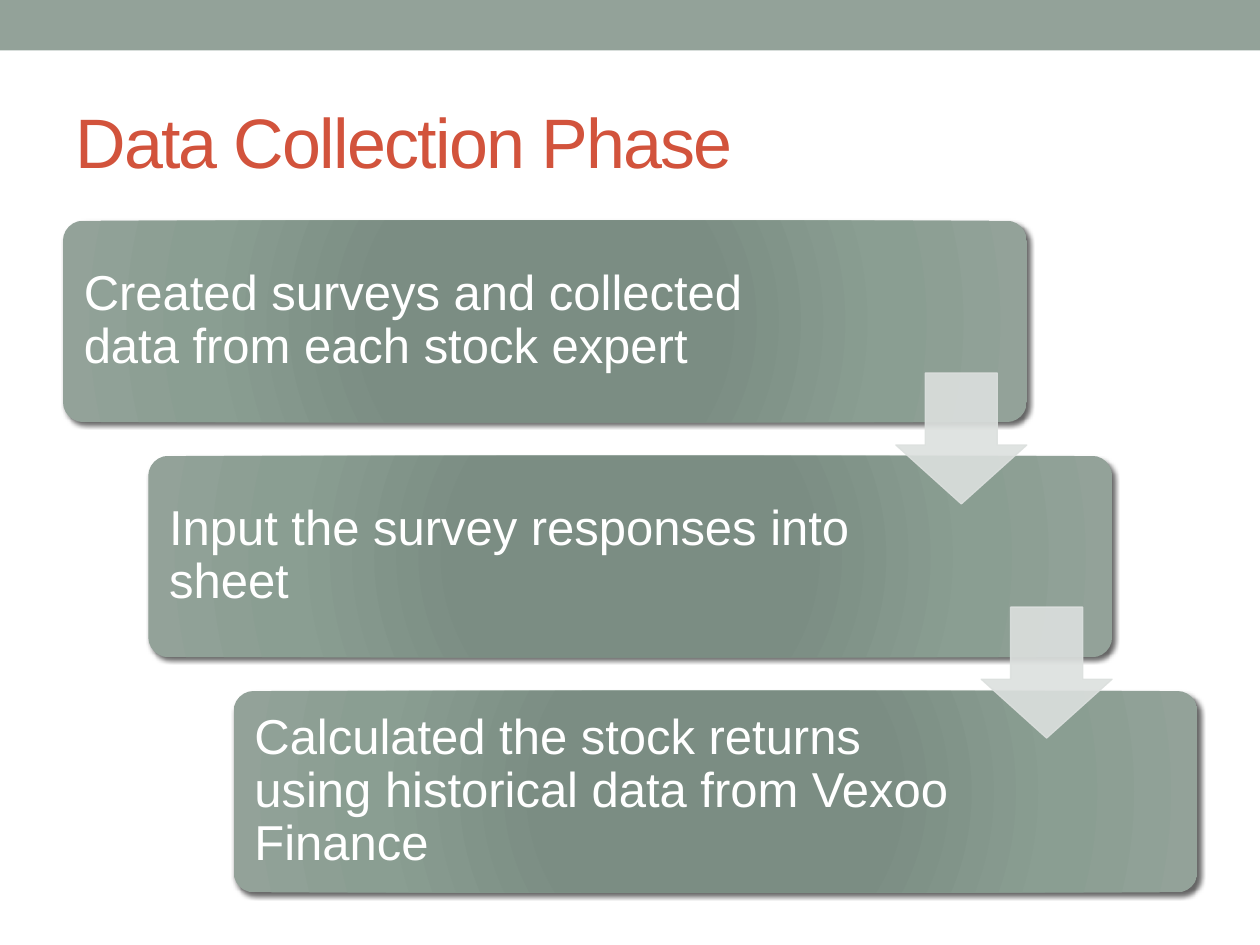
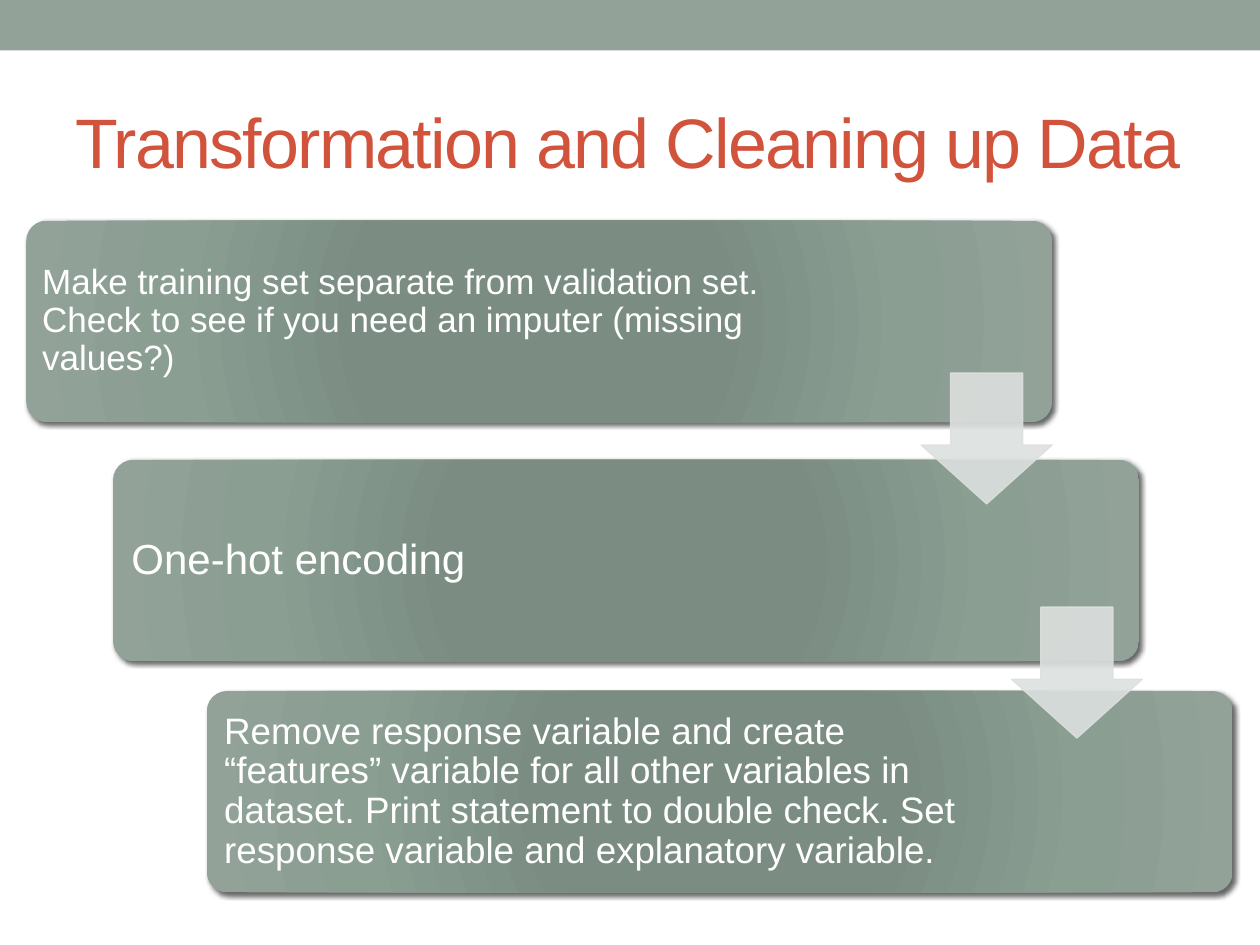
from lxml import etree
from pptx import Presentation
from pptx.dml.color import RGBColor
from pptx.enum.shapes import MSO_SHAPE
from pptx.enum.text import MSO_ANCHOR, PP_ALIGN
from pptx.oxml import parse_xml
from pptx.oxml.ns import nsdecls, qn
from pptx.util import Cm, Pt

RECT = MSO_SHAPE.RECTANGLE
ROUNDED = MSO_SHAPE.ROUNDED_RECTANGLE
DOWN_ARROW = MSO_SHAPE.DOWN_ARROW
MIDDLE = MSO_ANCHOR.MIDDLE
LEFT = PP_ALIGN.LEFT

FONT = "Arial"
COLORS = {
    "band": "93A299",
    "title": "D2533C",
    "step_text": "FFFFFF",
    "arrow": "DCE0DE",
    "shadow": "000000",
}
STEP_GRADIENT = [(0, "7B8E82"), (34, "7B8D83"), (70, "8A9E92"), (100, "93A299")]

SLIDE_W, SLIDE_H = 25.4, 19.05
STEP_TOP, STEP_RISE, STEP_H = 4.45, 4.74, 4.06
TEXT_INSET = 0.12
ARROW_TOP, ARROW_RISE, ARROW_SIZE = 7.52, 4.72, 2.64

PHASES = [
    {
        "title": "Data Collection Phase",
        "left": 1.27, "shift": 1.72, "width": 19.43,
        "text_widths": (15.04, 14.83, 14.83),
        "middle_nudge": (0, 0),
        "steps": [
            ("Created surveys and collected data from each stock expert", 28, 0.3),
            ("Input the survey responses into sheet", 28, 0.3),
            ("Calculated the stock returns using historical data from Vexoo Finance", 28, 0.3),
        ],
    },
    {
        "title": "Transformation and Cleaning up Data",
        "left": 0.53, "shift": 1.82, "width": 20.68,
        "text_widths": (16.28, 15.98, 15.98),
        "middle_nudge": (-0.07, 0.08),
        "steps": [
            ("Make training set separate from validation set. Check to see if you "
             "need an imputer (missing values?)", 20, 0.2),
            ("One-hot encoding", 24, 0.25),
            ("Remove response variable and create “features” variable for all other "
             "variables in dataset. Print statement to double check. Set response "
             "variable and explanatory variable.", 21, 0.23),
        ],
    },
]


def add_text(slide, text, left, top, width, height, *, size, color,
             inset=None, line_spacing=None, tracking=None):
    box = slide.shapes.add_textbox(Cm(left), Cm(top), Cm(width), Cm(height))
    frame = box.text_frame
    frame.word_wrap = True
    frame.vertical_anchor = MIDDLE
    if inset is not None:
        frame.margin_left = frame.margin_right = Cm(inset)
        frame.margin_top = frame.margin_bottom = Cm(inset)
    paragraph = frame.paragraphs[0]
    paragraph.alignment = LEFT
    paragraph.line_spacing = line_spacing
    run = paragraph.add_run()
    run.text = text
    run.font.name = FONT
    run.font.size = Pt(size)
    run.font.color.rgb = RGBColor.from_string(color)
    if tracking is not None:
        run.font.language_id = None
        run._r.get_or_add_rPr().set("spc", str(tracking * 100))


def add_plain_shape(slide, kind, left, top, width, height, color):
    shape = slide.shapes.add_shape(kind, Cm(left), Cm(top), Cm(width), Cm(height))
    shape.shadow.inherit = False
    shape.fill.solid()
    shape.fill.fore_color.rgb = RGBColor.from_string(color)
    shape.line.fill.background()
    return shape


def apply_radial_gradient(shape, stops):
    stop_xml = "".join(
        f'<a:gs pos="{pos * 1000}"><a:srgbClr val="{color}"/></a:gs>'
        for pos, color in stops)
    gradient = parse_xml(
        f'<a:gradFill {nsdecls("a")} rotWithShape="1"><a:gsLst>{stop_xml}</a:gsLst>'
        '<a:path path="circle"><a:fillToRect l="100000" t="100000" r="100000" '
        'b="100000"/></a:path></a:gradFill>')
    properties = shape._element.spPr
    properties.replace(properties.find(qn("a:solidFill")), gradient)


def apply_shadow(shape):
    effects = shape._element.spPr.find(qn("a:effectLst"))
    effects.append(parse_xml(
        f'<a:outerShdw {nsdecls("a")} blurRad="{Pt(3)}" dist="{Pt(2)}" '
        f'dir="2700000" rotWithShape="0"><a:srgbClr val="{COLORS["shadow"]}">'
        '<a:alpha val="60000"/></a:srgbClr></a:outerShdw>'))


def add_step(slide, text, size, inset, left, top, width, text_width):
    card = add_plain_shape(slide, ROUNDED, left, top, width, STEP_H, COLORS["band"])
    card.adjustments[0] = 0.1
    apply_radial_gradient(card, STEP_GRADIENT)
    apply_shadow(card)
    add_text(slide, text, left + TEXT_INSET, top + TEXT_INSET, text_width,
             STEP_H - 2 * TEXT_INSET, size=size, color=COLORS["step_text"],
             inset=inset, line_spacing=0.9)


def add_step_arrow(slide, left, top):
    arrow = add_plain_shape(slide, DOWN_ARROW, left, top, ARROW_SIZE, ARROW_SIZE,
                            COLORS["arrow"])
    arrow.adjustments[0] = 0.55
    arrow.adjustments[1] = 0.45
    arrow.line.color.rgb = RGBColor.from_string(COLORS["arrow"])
    arrow.line.width = Pt(0.75)
    for color in arrow._element.spPr.iter(qn("a:srgbClr")):
        etree.SubElement(color, qn("a:alpha")).set("val", "90000")


def add_phase_slide(prs, phase):
    slide = prs.slides.add_slide(prs.slide_layouts[6])
    add_plain_shape(slide, RECT, 0, 0, SLIDE_W, 1.02, COLORS["band"])
    add_text(slide, phase["title"], 1.27, 1.47, 22.86, 2.74, size=40,
             color=COLORS["title"], tracking=-1)

    lefts = [phase["left"] + i * phase["shift"] for i in range(len(phase["steps"]))]
    for i, (text, size, inset) in enumerate(phase["steps"]):
        nudge_x, nudge_y = phase["middle_nudge"] if i == 1 else (0, 0)
        add_step(slide, text, size, inset, lefts[i] + nudge_x,
                 STEP_TOP + i * STEP_RISE + nudge_y, phase["width"],
                 phase["text_widths"][i])
    for i, left in enumerate(lefts[:-1]):
        add_step_arrow(slide, left + phase["width"] - ARROW_SIZE,
                       ARROW_TOP + i * ARROW_RISE)


def main():
    prs = Presentation()
    prs.slide_width, prs.slide_height = Cm(SLIDE_W), Cm(SLIDE_H)
    for phase in PHASES:
        add_phase_slide(prs, phase)
    prs.save("out.pptx")


if __name__ == "__main__":
    main()
